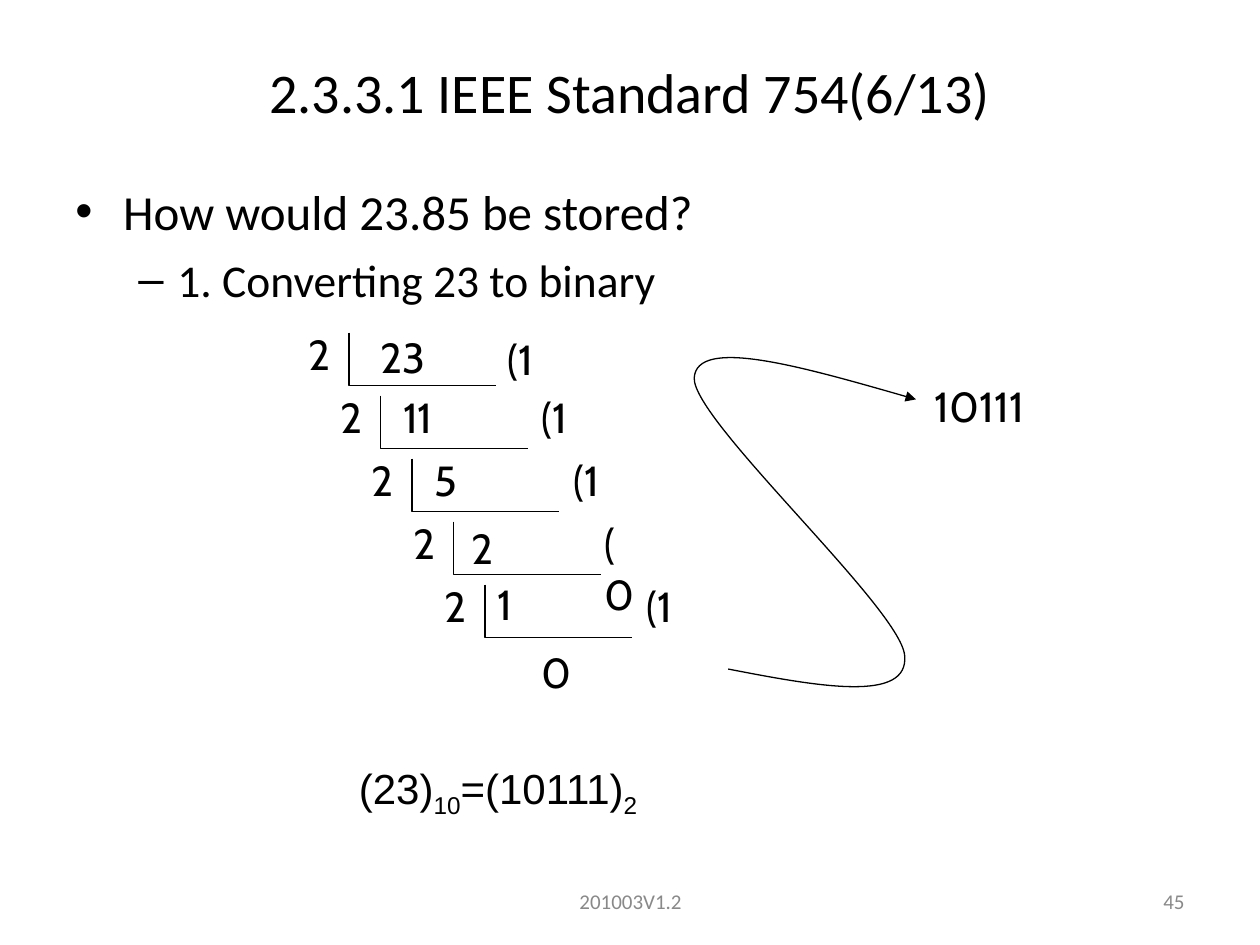
from lxml.etree import SubElement
from pptx import Presentation
from pptx.dml.color import RGBColor
from pptx.enum.text import MSO_ANCHOR as ANCHOR, PP_ALIGN as ALIGN
from pptx.oxml.ns import qn
from pptx.util import Pt

PX = 9144  # EMU per px, 100 px to the inch
COLORS = {"ink": "000000", "footer": "898989"}

prs = Presentation()
prs.slide_width, prs.slide_height = 1000 * PX, 750 * PX
slide = prs.slides.add_slide(prs.slide_layouts[5])


def add_text(text, x, y, w, h=50, size=24, font="Cabin", color="ink",
             align=ALIGN.LEFT, anchor=ANCHOR.TOP, s=None):
    """Fill a new text box, or the given shape s, with one format."""
    s = s or slide.shapes.add_textbox(0, 0, 0, 0)
    s.left, s.top, s.width, s.height = x * PX, y * PX, w * PX, h * PX
    tf = s.text_frame
    tf.text = text
    tf.word_wrap = True
    tf.vertical_anchor = anchor
    for p in tf.paragraphs:
        p.alignment = align
        for r in p.runs:
            r.font.size, r.font.name = Pt(size), font
            r.font.color.rgb = RGBColor.from_string(COLORS[color])
    return tf


def add_outline(points):
    """Draw an open, unfilled line through the points."""
    fb = slide.shapes.build_freeform(*points[0], scale=PX)
    fb.add_line_segments(points[1:], close=False)
    s = fb.convert_to_shape()
    s.shadow.inherit = False
    s.fill.background()
    s.line.color.rgb = RGBColor.from_string(COLORS["ink"])
    s.line.width = Pt(0.75)
    return s


# Title and footer
add_text("2.3.3.1 IEEE Standard 754(6/13)", 0, 30, 1000, 85, 32, "Calibri",
         align=ALIGN.CENTER, anchor=ANCHOR.MIDDLE, s=slide.shapes.title)
for text, x, w, align in [("201003V1.2", 342, 317, ALIGN.CENTER),
                          ("45", 717, 233, ALIGN.RIGHT)]:
    add_text(text, x, 695, w, 40, 12, "Calibri", "footer", align, ANCHOR.MIDDLE)

# Bulleted question and first step
tf = add_text("How would 23.85 be stored?\n1. Converting 23 to binary",
              50, 139, 900, 531, 28, "Calibri")
for p, bullet, margin, indent in zip(tf.paragraphs, "•–", (38, 81), (-38, -31)):
    pPr = p._p.get_or_add_pPr()
    pPr.set("marL", str(margin * PX))
    pPr.set("indent", str(indent * PX))
    SubElement(pPr, qn("a:buFont")).set("typeface", "Arial")
    SubElement(pPr, qn("a:buChar")).set("char", bullet)
step = tf.paragraphs[1]
step.level = 1
step.space_before = Pt(6.5)
step.runs[0].font.size = Pt(26)

# Repeated division by 2: bracket x, number and its place, remainder and its place
divisions = [
    (277, "23", 292, 258, "(1", 393, 260),
    (302, "11", 310, 306, "(1", 420, 306),
    (327, "5", 335, 356, "(1", 445, 356),
    (360, "2", 364, 410, "(0", 470, 406),
    (385, "1", 385, 454, "(1", 503, 456),
]
for i, (x, number, nx, ny, remainder, rx, ry) in enumerate(divisions):
    y = 264 + 50 * i
    add_outline([(x, y), (x, y + 42), (x + 117, y + 42)])
    add_text("2", x - 42, y - 8, 39)
    add_text(number, nx, ny, 85)
    add_text(remainder, rx, ry, 49)
add_text("0", 420, 508, 85)

# Curved arrow reading the remainders upwards: start, then three points per curve
arrow = add_outline([(578, 531), (650, 545), (722, 558), (718, 520),
                     (714, 482), (550, 334), (551, 300),
                     (553, 267), (640, 292), (727, 317)])
curve = arrow._element.find(".//" + qn("a:path"))
lines = curve.findall(qn("a:lnTo"))
for i in range(0, len(lines), 3):
    bezier = SubElement(curve, qn("a:cubicBezTo"))
    for line in lines[i:i + 3]:
        bezier.append(line[0])
        curve.remove(line)
SubElement(arrow.line._get_or_add_ln(), qn("a:tailEnd")).set("type", "triangle")
add_text("10111", 732, 297, 115)

# Result with subscript bases
tf = add_text("(23)", 275, 600, 433, 56, font="Arial")
p = tf.paragraphs[0]
for text in ("10", "=(10111)", "2"):
    r = p.add_run()
    r.text = text
    r.font.size, r.font.name = Pt(24), "Arial"
    r.font.color.rgb = RGBColor.from_string(COLORS["ink"])
    if not text.startswith("="):
        r.font._element.set("baseline", "-25000")

prs.save("out.pptx")
